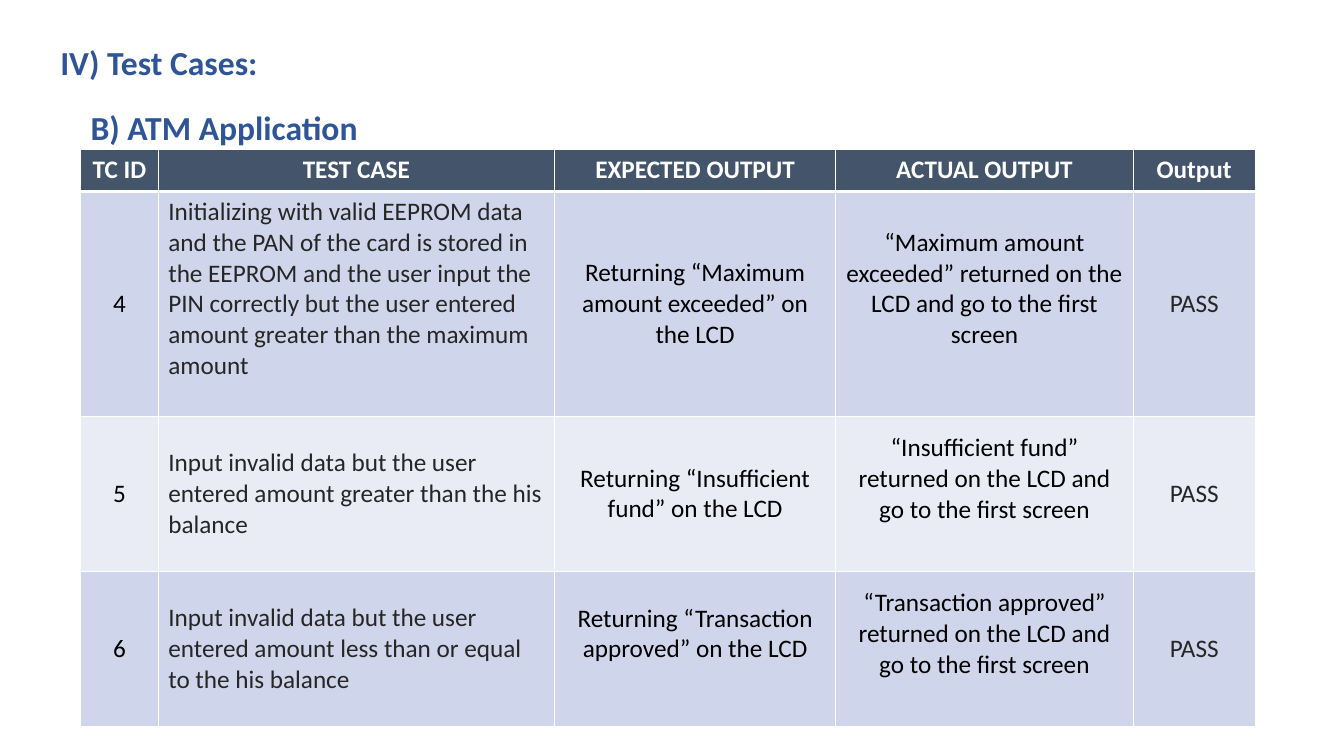
from lxml import etree
from pptx import Presentation
from pptx.dml.color import RGBColor
from pptx.enum.text import MSO_ANCHOR, PP_ALIGN
from pptx.oxml.ns import qn
from pptx.util import Inches, Pt

MIDDLE = MSO_ANCHOR.MIDDLE
LEFT, CENTER = PP_ALIGN.LEFT, PP_ALIGN.CENTER

HEADING_BLUE = RGBColor(0x2F, 0x55, 0x97)
HEADER_SLATE = RGBColor(0x44, 0x54, 0x6A)
BAND_DARK = RGBColor(0xCF, 0xD5, 0xEA)
BAND_LIGHT = RGBColor(0xE9, 0xEB, 0xF5)
WHITE = RGBColor(0xFF, 0xFF, 0xFF)
BLACK = RGBColor(0, 0, 0)
CHARCOAL = RGBColor(0x26, 0x26, 0x26)

FONT = "Calibri"
COLUMN_WIDTHS = [0.77, 3.93, 2.79, 2.95, 1.21]
ROW_HEIGHTS = [0.42, 2.23, 1.54, 1.54]
COLUMN_COLORS = [BLACK, CHARCOAL, BLACK, BLACK, CHARCOAL]
TEST_CASE_COLUMN = 1
RAISED_CELLS = {(1, 1), (1, 3), (2, 3), (3, 2), (3, 3)}
RAISED_BOTTOM = 0.35

HEADERS = ["TC ID", "TEST CASE", "EXPECTED OUTPUT", "ACTUAL OUTPUT", "Output"]
TEST_CASES = [
    ["4",
     "Initializing with valid EEPROM data and the PAN of the card is stored in "
     "the EEPROM and the user input the PIN correctly but the user entered "
     "amount greater than the maximum amount",
     "Returning “Maximum amount exceeded” on the LCD",
     "“Maximum amount exceeded” returned on the LCD and go to the first screen",
     "PASS"],
    ["5",
     "Input invalid data but the user entered amount greater than the his balance",
     "Returning “Insufficient fund” on the LCD",
     "“Insufficient fund” returned on the LCD and go to the first screen",
     "PASS"],
    ["6",
     "Input invalid data but the user entered amount less than or equal to the "
     "his balance",
     "Returning “Transaction approved” on the LCD",
     "“Transaction approved” returned on the LCD and go to the first screen",
     "PASS"],
]


def style_text(paragraph, size, color, bold):
    for run in paragraph.runs:
        run.font.name = FONT
        run.font.size = Pt(size)
        run.font.bold = bold
        run.font.color.rgb = color


def add_heading(slide, text, left, top, width, height):
    heading = slide.shapes.add_textbox(
        Inches(left), Inches(top), Inches(width), Inches(height))
    frame = heading.text_frame
    frame.word_wrap = True
    frame.vertical_anchor = MIDDLE
    frame.text = text
    paragraph = frame.paragraphs[0]
    paragraph.line_spacing = 0.9
    paragraph._p.get_or_add_pPr().set("marL", str(Inches(0.5)))
    style_text(paragraph, 24, HEADING_BLUE, True)


def add_borders(cell, top_points, bottom_points):
    properties = cell._tc.get_or_add_tcPr()
    sides = [("lnL", 1), ("lnR", 1), ("lnT", top_points), ("lnB", bottom_points)]
    for position, (side, points) in enumerate(sides):
        line = etree.Element(qn(f"a:{side}"), w=str(Pt(points)))
        fill = etree.SubElement(line, qn("a:solidFill"))
        etree.SubElement(fill, qn("a:srgbClr"), val=str(WHITE))
        properties.insert(position, line)


def fill_cell(cell, text, row, column):
    is_header = row == 0
    cell.text = text
    cell.vertical_anchor = MIDDLE
    if (row, column) in RAISED_CELLS:
        cell.margin_bottom = Inches(RAISED_BOTTOM)
    cell.fill.solid()
    if is_header:
        cell.fill.fore_color.rgb = HEADER_SLATE
    else:
        cell.fill.fore_color.rgb = BAND_DARK if row % 2 else BAND_LIGHT
    paragraph = cell.text_frame.paragraphs[0]
    is_description = column == TEST_CASE_COLUMN and not is_header
    paragraph.alignment = LEFT if is_description else CENTER
    style_text(paragraph, 18, WHITE if is_header else COLUMN_COLORS[column], is_header)
    add_borders(cell, 3 if row == 1 else 1, 3 if is_header else 1)


def add_test_table(slide, left, top):
    rows = [HEADERS] + TEST_CASES
    table = slide.shapes.add_table(
        len(rows), len(HEADERS), Inches(left), Inches(top),
        Inches(sum(COLUMN_WIDTHS)), Inches(sum(ROW_HEIGHTS))).table
    for column, width in zip(table.columns, COLUMN_WIDTHS):
        column.width = Inches(width)
    for row, height in zip(table.rows, ROW_HEIGHTS):
        row.height = Inches(height)
    for row_index, texts in enumerate(rows):
        for column_index, text in enumerate(texts):
            fill_cell(table.cell(row_index, column_index), text,
                      row_index, column_index)


def main():
    presentation = Presentation()
    presentation.slide_width = Inches(13.33)
    presentation.slide_height = Inches(7.5)
    slide = presentation.slides.add_slide(presentation.slide_layouts[6])
    add_heading(slide, "IV) Test Cases:", 0, 0.44, 5.63, 0.41)
    add_heading(slide, "B) ATM Application", 0.3, 1.08, 6.34, 0.41)
    add_test_table(slide, 0.8, 1.48)
    presentation.save("out.pptx")


if __name__ == "__main__":
    main()
